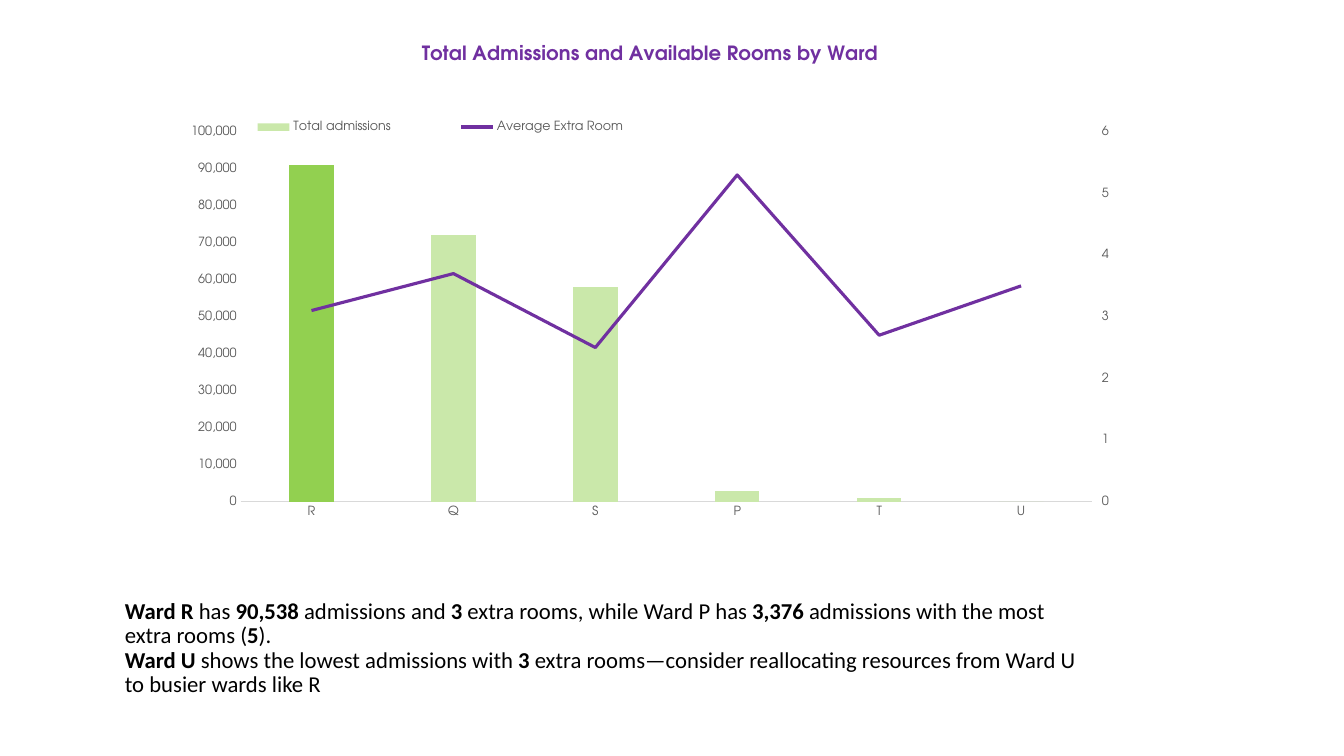
from pptx import Presentation
from pptx.chart.data import CategoryChartData
from pptx.dml.color import RGBColor
from pptx.enum.chart import XL_CHART_TYPE, XL_LEGEND_POSITION, XL_TICK_MARK
from pptx.enum.shapes import MSO_SHAPE
from pptx.enum.text import MSO_ANCHOR, PP_ALIGN
from pptx.oxml import parse_xml
from pptx.oxml.ns import nsdecls, qn
from pptx.util import Inches, Pt

THEME = {
    "chart_font": "TeX Gyre Adventor", "body_font": "Calibri",
    "title_size": Pt(14), "body_size": Pt(16.2), "chart_size": Pt(10), "label_size": Pt(9),
    "white": RGBColor(255, 255, 255), "black": RGBColor(0, 0, 0),
    "purple": RGBColor(0x70, 0x30, 0xA0), "green": RGBColor(0x92, 0xD0, 0x50),
    "pale_green": RGBColor(0xCA, 0xE8, 0xAA), "grey": RGBColor(0x59, 0x59, 0x59),
    "rule": RGBColor(0xD9, 0xD9, 0xD9),
}


def style_font(font, size, color, name=THEME["chart_font"], bold=False):
    font.name, font.size, font.bold = name, size, bold
    font.color.rgb = color


def place(part, x, y, w=None, h=None, inner=False):
    """Lay out a chart part, in percent of the chart's size."""
    for old in part.findall(qn("c:layout")):
        part.remove(old)
    target = '<c:layoutTarget val="inner"/>' if inner else ""
    modes = '<c:xMode val="edge"/><c:yMode val="edge"/>'
    sizes = "".join(f'<c:{tag} val="{v / 100:.4f}"/>'
                    for tag, v in zip("xywh", (x, y, w, h)) if v is not None)
    layout = parse_xml(f'<c:layout {nsdecls("c")}><c:manualLayout>{target}{modes}{sizes}'
                       '</c:manualLayout></c:layout>')
    overlay = part.find(qn("c:overlay"))
    if overlay is None:
        part.insert(0, layout)
    else:
        overlay.addprevious(layout)


prs = Presentation()
prs.slide_width, prs.slide_height = Inches(13.33), Inches(7.5)
s = prs.slides.add_slide(prs.slide_layouts[6])
# Grid of 100 columns by 100 rows
col, row = prs.slide_width / 100, prs.slide_height / 100

# White backdrop
sp = s.shapes.add_shape(MSO_SHAPE.RECTANGLE, 0, 0, prs.slide_width, prs.slide_height)
sp.shadow.inherit = False
sp.fill.solid()
sp.fill.fore_color.rgb = THEME["white"]
sp.line.fill.background()

# Takeaway text, bold where marked
takeaway = [
    [("Ward R ", True), ("has ", False), ("90,538", True), (" admissions and ", False),
     ("3", True), (" extra rooms, while Ward P has ", False), ("3,376", True),
     (" admissions with the most extra rooms (", False), ("5", True), ("). ", False)],
    [("Ward U ", True), ("shows the lowest admissions with ", False), ("3", True),
     (" extra rooms—consider reallocating resources from Ward U to busier wards like R", False)],
]
tf = s.shapes.add_textbox(int(8.55 * col), int(77.2 * row),
                          int(72.24 * col), int(15.73 * row)).text_frame
tf.word_wrap = True
tf.vertical_anchor = MSO_ANCHOR.BOTTOM
p = tf.paragraphs[0]
p.alignment, p.line_spacing = PP_ALIGN.LEFT, 0.9
for i, sentence in enumerate(takeaway):
    if i:
        p.add_line_break()
    for text, bold in sentence:
        r = p.add_run()
        r.text = text
        style_font(r.font, THEME["body_size"], THEME["black"], THEME["body_font"], bold)

# Chart data
data = CategoryChartData()
data.categories = ["R", "Q", "S", "P", "T", "U"]
data.add_series("Total admissions", (91000, 72000, 58000, 3000, 1000, 0), "#,##0")
data.add_series("Average Extra Room", (3.1, 3.7, 2.5, 5.3, 2.7, 3.5), "0.0")
chart = s.shapes.add_chart(XL_CHART_TYPE.COLUMN_CLUSTERED, int(12.83 * col), int(3.2 * row),
                           int(71.19 * col), int(66.53 * row), data).chart
style_font(chart.font, THEME["chart_size"], THEME["black"])

# Title and legend
chart.has_title = True
tf = chart.chart_title.text_frame
tf.text = "Total Admissions and Available Rooms by Ward"
style_font(tf.paragraphs[0].runs[0].font, THEME["title_size"], THEME["purple"], bold=True)
chart.chart_title.include_in_layout = False
chart.has_legend = True
legend = chart.legend
legend.position = XL_LEGEND_POSITION.TOP
legend.include_in_layout = False
style_font(legend.font, THEME["label_size"], THEME["grey"])

# Primary axes
cat_axis, val_axis = chart.category_axis, chart.value_axis
for axis in (cat_axis, val_axis):
    axis.major_tick_mark = axis.minor_tick_mark = XL_TICK_MARK.NONE
    axis.has_major_gridlines = False
    style_font(axis.tick_labels.font, THEME["label_size"], THEME["grey"])
cat_axis.format.line.color.rgb = THEME["rule"]
cat_axis.format.line.width = Pt(0.75)
val_axis.format.line.fill.background()
val_axis.minimum_scale, val_axis.maximum_scale, val_axis.major_unit = 0, 100000, 10000
val_axis.tick_labels.number_format = "#,##0"
val_axis.tick_labels.number_format_is_linked = False

# Columns, with the busiest ward highlighted
bars = chart.plots[0]
bars.gap_width, bars.overlap, bars.vary_by_categories = 219, -27, False
admissions, rooms = bars.series
for part, color in ((admissions, "pale_green"), (admissions.points[0], "green")):
    part.format.fill.solid()
    part.format.fill.fore_color.rgb = THEME[color]

# Extra rooms become a line on a second axis
plot_area = chart._chartSpace.chart.plotArea
line_chart = parse_xml(
    f'<c:lineChart {nsdecls("c")}><c:grouping val="standard"/><c:varyColors val="0"/>'
    '<c:marker val="1"/><c:axId val="5001"/><c:axId val="5002"/></c:lineChart>')
ser = rooms._element
for tag in ser.findall(qn("c:invertIfNegative")):
    ser.remove(tag)
line_chart.insert(2, ser)
plot_area.find(qn("c:barChart")).addnext(line_chart)
ser.find(qn("c:cat")).addprevious(
    parse_xml(f'<c:marker {nsdecls("c")}><c:symbol val="none"/></c:marker>'))
rooms = chart.plots[1].series[0]
rooms.smooth = False
rooms.format.line.color.rgb = THEME["purple"]
rooms.format.line.width = Pt(2.25)

font = THEME["chart_font"]
right_axis = parse_xml(
    f'<c:valAx {nsdecls("c", "a")}><c:axId val="5002"/><c:scaling><c:orientation val="minMax"/>'
    '<c:max val="6"/><c:min val="0"/></c:scaling><c:delete val="0"/><c:axPos val="r"/>'
    '<c:numFmt formatCode="0" sourceLinked="0"/><c:majorTickMark val="out"/>'
    '<c:minorTickMark val="none"/><c:tickLblPos val="nextTo"/>'
    '<c:spPr><a:ln><a:noFill/></a:ln></c:spPr>'
    f'<c:txPr><a:bodyPr/><a:p><a:pPr><a:defRPr sz="{int(THEME["label_size"].pt * 100)}" b="0">'
    f'<a:solidFill><a:srgbClr val="{THEME["grey"]}"/></a:solidFill><a:latin typeface="{font}"/>'
    '</a:defRPr></a:pPr><a:endParaRPr lang="en-US"/></a:p></c:txPr>'
    '<c:crossAx val="5001"/><c:crosses val="max"/><c:majorUnit val="1"/></c:valAx>')
hidden_axis = parse_xml(
    f'<c:catAx {nsdecls("c")}><c:axId val="5001"/><c:scaling><c:orientation val="minMax"/>'
    '</c:scaling><c:delete val="1"/><c:axPos val="b"/><c:crossAx val="5002"/>'
    '<c:crosses val="autoZero"/></c:catAx>')
val_axis._element.addnext(right_axis)
right_axis.addnext(hidden_axis)

# Layout inside the chart
place(plot_area, 7.12, 21.4, 89, 73.56, inner=True)
place(chart.chart_title._element, 25.7, 3.2)
place(legend._element, 2, 18.2, 52, 4.5)

prs.save("out.pptx")
